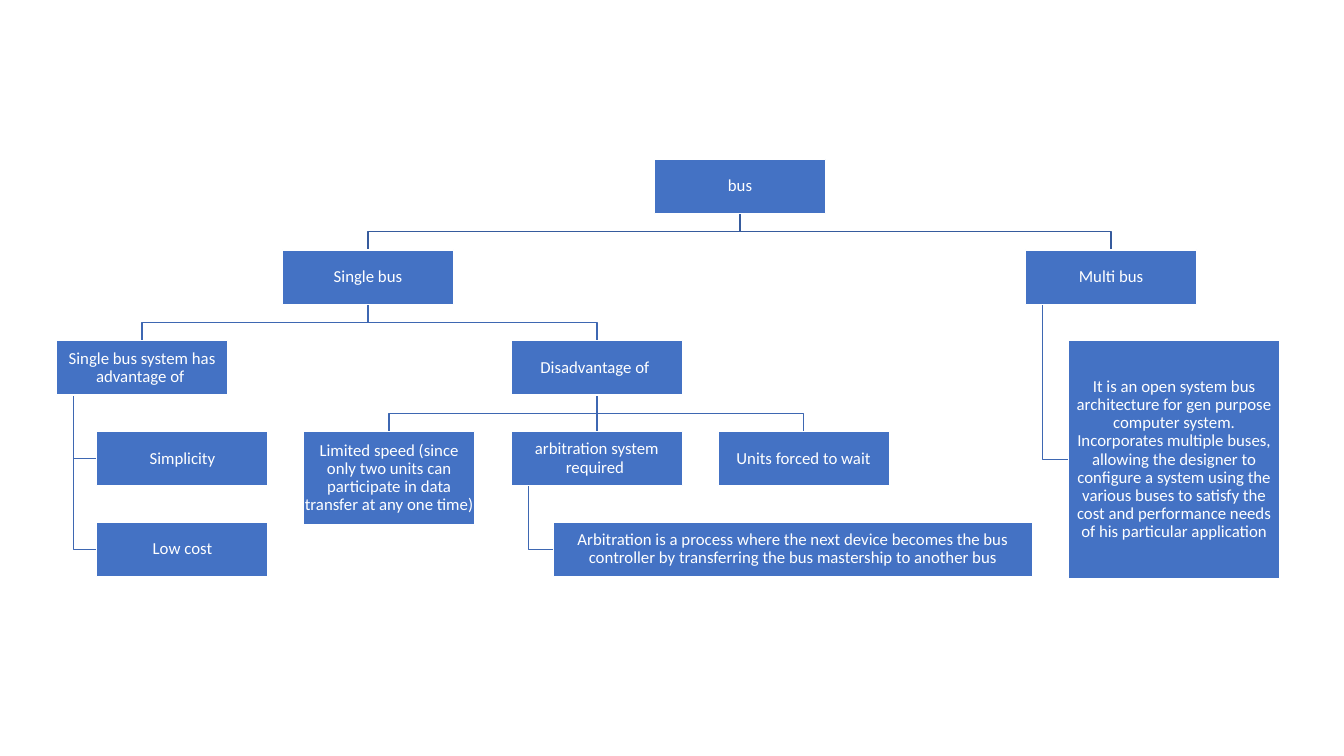
from dataclasses import dataclass

from lxml import etree
from pptx import Presentation
from pptx.dml.color import RGBColor
from pptx.enum.shapes import MSO_CONNECTOR as Connector, MSO_SHAPE as Shape
from pptx.enum.text import MSO_ANCHOR as Anchor, PP_ALIGN as Align
from pptx.oxml.ns import qn
from pptx.util import Inches, Pt


@dataclass(frozen=True)
class Theme:
    fill: RGBColor = RGBColor(0x44, 0x72, 0xC4)
    white: RGBColor = RGBColor(0xFF, 0xFF, 0xFF)
    top_link: RGBColor = RGBColor(0x36, 0x5B, 0x9D)
    link: RGBColor = RGBColor(0x3E, 0x67, 0xB2)
    font: str = "Calibri"
    size: Pt = Pt(12)
    line: Pt = Pt(1)


THEME = Theme()
FIRST_ROW = 1.58
ROW_PITCH = 0.9
HANG_INSET = 0.17


@dataclass(frozen=True)
class Node:
    text: str
    left: float
    row: int
    width: float = 1.7
    height: float = 0.54

    @property
    def top(self):
        return FIRST_ROW + self.row * ROW_PITCH

    @property
    def bottom(self):
        return self.top + self.height

    @property
    def center(self):
        return self.left + self.width / 2

    @property
    def middle(self):
        return self.top + self.height / 2


NODES = {
    "bus": Node("bus", 6.49, 0),
    "single": Node("Single bus", 2.8, 1),
    "advantage": Node("Single bus system has advantage of ", 0.56, 2),
    "simplicity": Node("Simplicity", 0.96, 3),
    "cost": Node("Low cost", 0.96, 4),
    "disadvantage": Node("Disadvantage of ", 5.07, 2),
    "speed": Node(
        "Limited speed (since only two units can participate in data "
        "transfer at any one time)", 3.01, 3, height=0.93),
    "arbitration": Node("arbitration system required ", 5.07, 3),
    "process": Node(
        "Arbitration is a process where the next device becomes the bus "
        "controller by transferring the bus mastership to another bus",
        5.49, 4, width=4.75),
    "wait": Node("Units forced to wait", 7.12, 3),
    "multi": Node("Multi bus", 10.17, 1),
    "architecture": Node(
        "It is an open system bus architecture for gen purpose computer "
        "system. Incorporates multiple buses, allowing the designer to "
        "configure a system using the various buses to satisfy the cost and "
        "performance needs of his particular application",
        10.6, 2, width=2.09, height=2.36),
}

BRANCHES = {
    "bus": ("single", "multi"),
    "single": ("advantage", "disadvantage"),
    "disadvantage": ("speed", "arbitration", "wait"),
}

HANGING = {
    "advantage": ("simplicity", "cost"),
    "arbitration": ("process",),
    "multi": ("architecture",),
}


def style_line(shape, color):
    shape.line.color.rgb = color
    shape.line.width = THEME.line


def add_straight_link(page, start, end, color):
    lengths = [Inches(value) for value in (*start, *end)]
    link = page.shapes.add_connector(Connector.STRAIGHT, *lengths)
    style_line(link, color)
    properties = link._element.find(qn("p:spPr"))
    etree.SubElement(properties, qn("a:effectLst"))


def add_bent_link(page, points, color):
    start, *rest = [(Inches(x), Inches(y)) for x, y in points]
    builder = page.shapes.build_freeform(*start)
    builder.add_line_segments(rest, close=False)
    link = builder.convert_to_shape()
    link.fill.background()
    link.shadow.inherit = False
    style_line(link, color)


def add_branch(page, parent, child):
    color = THEME.top_link if parent.row == 0 else THEME.link
    start = (parent.center, parent.bottom)
    end = (child.center, child.top)
    if parent.center == child.center:
        add_straight_link(page, start, end, color)
        return
    bend = (parent.bottom + child.top) / 2
    corners = [(parent.center, bend), (child.center, bend)]
    add_bent_link(page, [start, *corners, end], color)


def add_hanging_link(page, parent, child):
    x = parent.left + HANG_INSET
    points = [(x, parent.bottom), (x, child.middle), (child.left, child.middle)]
    add_bent_link(page, points, THEME.link)


def add_box(page, node):
    lengths = (node.left, node.top, node.width, node.height)
    box = page.shapes.add_shape(Shape.RECTANGLE, *map(Inches, lengths))
    box.shadow.inherit = False
    box.fill.solid()
    box.fill.fore_color.rgb = THEME.fill
    style_line(box, THEME.white)
    frame = box.text_frame
    frame.word_wrap = True
    frame.vertical_anchor = Anchor.MIDDLE
    frame.margin_left = frame.margin_right = Inches(0.01)
    frame.margin_top = frame.margin_bottom = Inches(0.01)
    frame.text = node.text
    para = frame.paragraphs[0]
    para.alignment = Align.CENTER
    para.line_spacing = 0.9
    span = para.runs[0]
    span.font.name = THEME.font
    span.font.size = THEME.size
    span.font.color.rgb = THEME.white


def add_links(page, tree, draw):
    for parent, children in tree.items():
        for child in children:
            draw(page, NODES[parent], NODES[child])


def main():
    deck = Presentation()
    deck.slide_width = Inches(13.33)
    deck.slide_height = Inches(7.5)
    page = deck.slides.add_slide(deck.slide_layouts.get_by_name("Blank"))
    add_links(page, BRANCHES, add_branch)
    add_links(page, HANGING, add_hanging_link)
    for node in NODES.values():
        add_box(page, node)
    deck.save("out.pptx")


if __name__ == "__main__":
    main()
